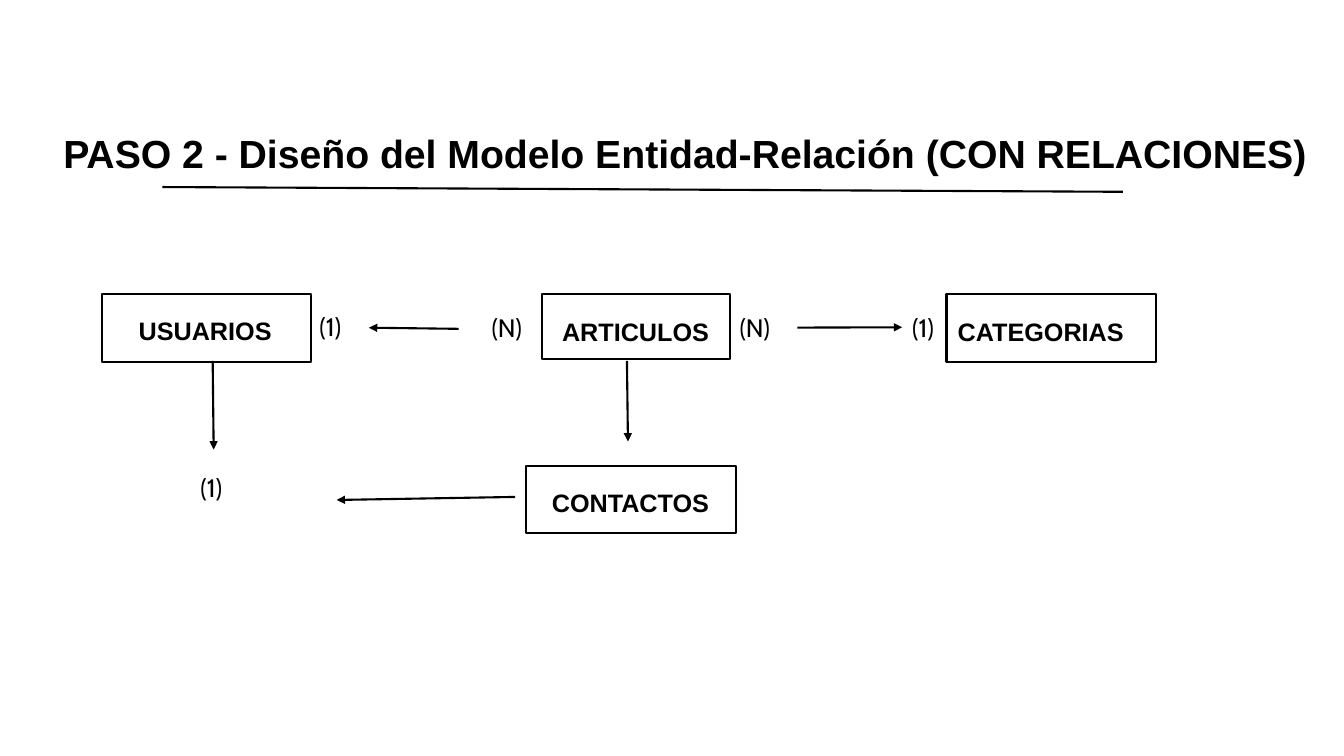
from dataclasses import dataclass

import pptx
import pptx.dml.color
import pptx.enum.shapes
import pptx.enum.text
import pptx.oxml
import pptx.oxml.ns
import pptx.util
from pptx.slide import Slide
from pptx.text.text import _Paragraph

Pt = pptx.util.Pt
Align = pptx.enum.text.PP_ALIGN
Anchor = pptx.enum.text.MSO_ANCHOR

COLORS = {"ink": "000000", "paper": "FFFFFF"}
STROKE = 1.5
TEXT_SIZE = 18
CAPTION_HEIGHT = 57.6
CARDINALITY_SIZE = (62.64, 28.8)


@dataclass(frozen=True)
class Entity:
    """A framed name; the name has its own box, slightly off the frame."""
    name: str
    frame: tuple[float, float, float, float]
    caption_left: float
    caption_top: float
    caption_width: float


@dataclass(frozen=True)
class Cardinality:
    text: str
    left: float
    top: float


@dataclass(frozen=True)
class Stroke:
    start: tuple[float, float]
    end: tuple[float, float]
    arrow: bool = True


ENTITIES = [
    Entity("USUARIOS", (72.72, 210.24, 149.76, 48.24), 67.68, 210.96, 157.68),
    Entity("ARTICULOS", (387.36, 210.24, 133.92, 46.08), 375.12, 211.68, 157.68),
    Entity("CATEGORIAS", (676.08, 210.24, 149.76, 48.24), 664.56, 211.68, 157.68),
    Entity("CONTACTOS", (375.84, 332.64, 149.76, 48.24), 375.12, 334.08, 150.48),
]

CARDINALITIES = [
    Cardinality("(1)", 221.04, 218.88),
    Cardinality("(N)", 344.16, 219.6),
    Cardinality("(N)", 521.28, 219.6),
    Cardinality("(1)", 644.4, 219.6),
    Cardinality("(1)", 136.08, 334.08),
]

STROKES = [
    Stroke((115.92, 133.6), (802.08, 137), arrow=False),
    Stroke((327.6, 234.9), (263.52, 234.1)),
    Stroke((569.52, 234), (644.4, 233.8)),
    Stroke((151.92, 257.76), (152.64, 321.12)),
    Stroke((447.84, 257.76), (448.56, 315.36)),
    Stroke((367.92, 354.96), (240.48, 357.12)),
]


def color(name: str) -> pptx.dml.color.RGBColor:
    return pptx.dml.color.RGBColor.from_string(COLORS[name])


def add_text(slide: Slide, text: str, box: tuple[float, float, float, float],
             font: str = "Arial", size: float = TEXT_SIZE, bold: bool = True,
             align: Align = Align.LEFT, spacing: float = 1.0,
             anchor: Anchor = Anchor.TOP) -> _Paragraph:
    frame = slide.shapes.add_textbox(*map(Pt, box)).text_frame
    frame.word_wrap = True
    frame.vertical_anchor = anchor
    paragraph = frame.paragraphs[0]
    paragraph.text = text
    paragraph.alignment = align
    paragraph.line_spacing = spacing
    paragraph.font.name = font
    paragraph.font.size = Pt(size)
    paragraph.font.bold = bold
    paragraph.font.color.rgb = color("ink")
    return paragraph


def add_entity(slide: Slide, entity: Entity) -> None:
    frame = slide.shapes.add_shape(
        pptx.enum.shapes.MSO_SHAPE.RECTANGLE, *map(Pt, entity.frame))
    frame.shadow.inherit = False
    frame.fill.background()
    frame.line.color.rgb = color("ink")
    frame.line.width = Pt(STROKE)
    caption = (entity.caption_left, entity.caption_top,
               entity.caption_width, CAPTION_HEIGHT)
    add_text(slide, entity.name, caption, align=Align.CENTER, spacing=1.5)


def add_stroke(slide: Slide, stroke: Stroke) -> None:
    connector = slide.shapes.add_connector(
        pptx.enum.shapes.MSO_CONNECTOR.STRAIGHT,
        *map(Pt, stroke.start + stroke.end))
    connector.line.color.rgb = color("ink")
    connector.line.width = Pt(STROKE)
    namespace = pptx.oxml.ns.nsdecls("a")
    if stroke.arrow:
        connector.line._get_or_add_ln().append(
            pptx.oxml.parse_xml(f'<a:tailEnd {namespace} type="triangle"/>'))
    connector._element.spPr.append(
        pptx.oxml.parse_xml(f"<a:effectLst {namespace}/>"))


def main() -> None:
    presentation = pptx.Presentation()
    presentation.slide_width = Pt(960)
    presentation.slide_height = Pt(540)
    slide = presentation.slides.add_slide(presentation.slide_layouts[6])
    slide.background.fill.solid()
    slide.background.fill.fore_color.rgb = color("paper")

    add_text(slide, "PASO 2 - Diseño del Modelo Entidad-Relación (CON RELACIONES)",
             (38.16, 95.04, 921.84, 33.12), size=28, spacing=0.9,
             anchor=Anchor.MIDDLE)
    for stroke in STROKES:
        add_stroke(slide, stroke)
    for entity in ENTITIES:
        add_entity(slide, entity)
    for cardinality in CARDINALITIES:
        add_text(slide, cardinality.text,
                 (cardinality.left, cardinality.top, *CARDINALITY_SIZE),
                 font="Cabin", bold=False)
    presentation.save("out.pptx")


if __name__ == "__main__":
    main()
